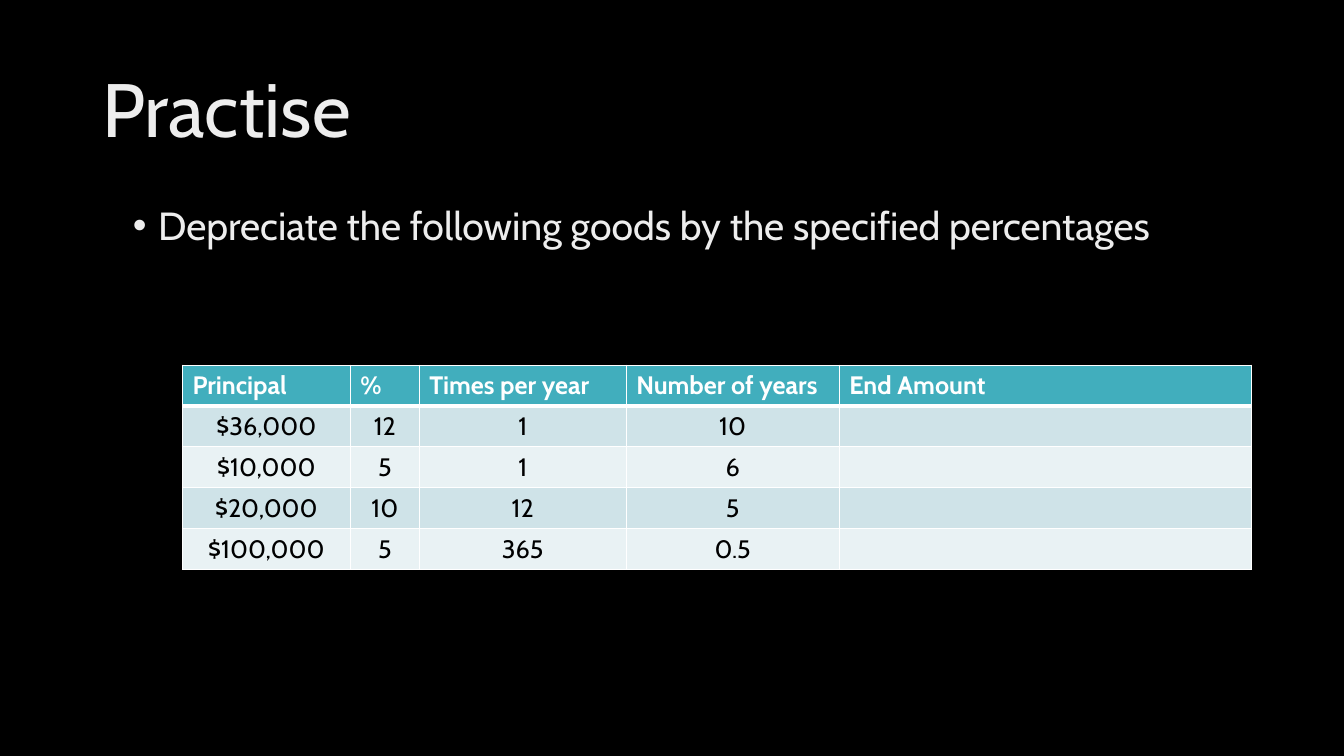
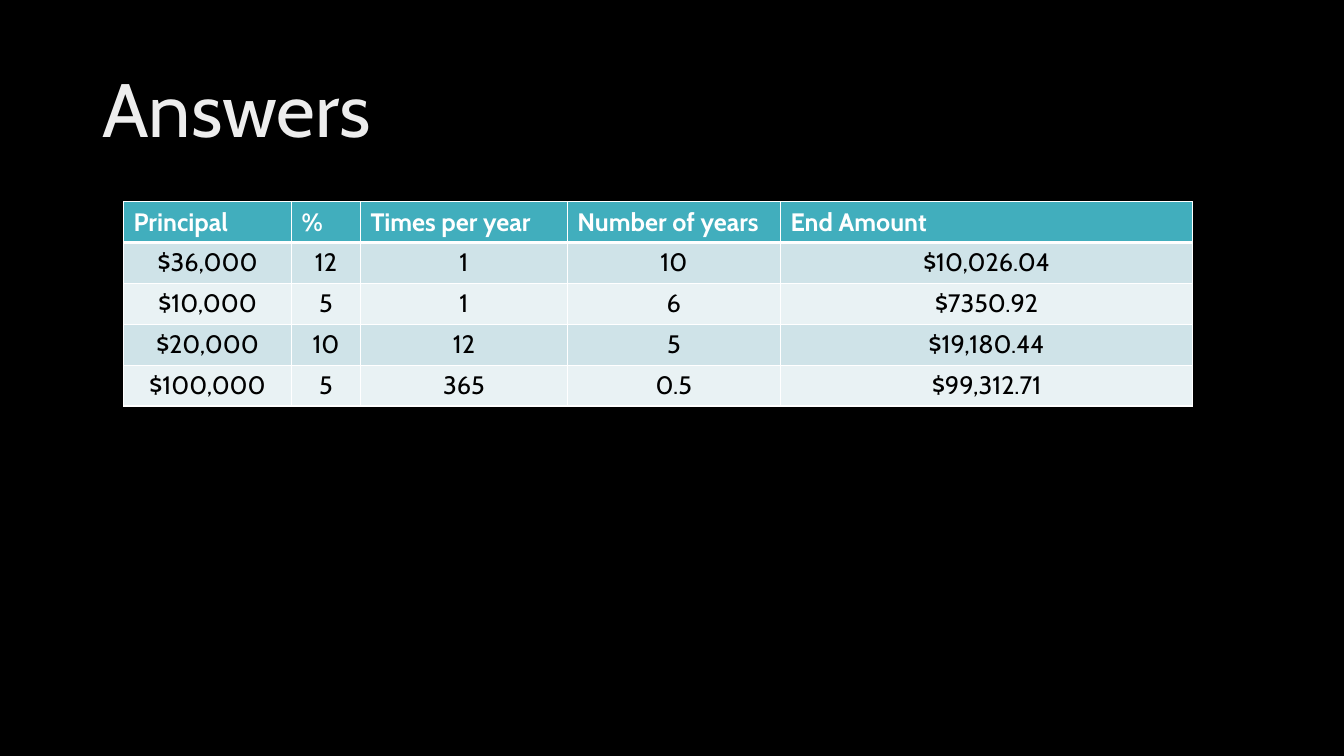
from dataclasses import dataclass

from lxml import etree
from pptx import Presentation
from pptx.dml.color import RGBColor
from pptx.enum.text import MSO_ANCHOR as Anchor, PP_ALIGN as Align
from pptx.oxml.ns import qn
from pptx.util import Pt


@dataclass(frozen=True)
class Theme:
    font: str = "Cabin"
    background: str = "000000"
    light_text: str = "EDEDED"
    header_text: str = "FFFFFF"
    cell_text: str = "000000"
    header_fill: str = "41AEBD"
    band_fills: tuple = ("CFE3E8", "E9F2F4")
    border: str = "FFFFFF"
    title_size: float = 54
    body_size: float = 28
    table_size: float = 18
    thin_border: float = 1
    header_border: float = 3


THEME = Theme()

# Boxes are left, top, width, height in points
SLIDE_SIZE = (960, 540)
TITLE_BOX = (66, 28.8, 828, 104.4)
BODY_BOX = (87.8, 144, 805.7, 342.7)
COLUMN_WIDTHS = (120, 49.2, 147.8, 152.2, 294.6)
ROW_HEIGHT = 29.2
BULLET_INDENT = 18

HEADERS = ("Principal", "%", "Times per year", "Number of years", "End Amount")
GOODS = (
    ("$36,000", "12", "1", "10"),
    ("$10,000", "5", "1", "6"),
    ("$20,000", "10", "12", "5"),
    ("$100,000", "5", "365", "0.5"),
)
END_AMOUNTS = ("$10,026.04", "$7350.92", "$19,180.44", "$99,312.71")


def write_text(frame, text, *, size, color, bold=False, align=Align.LEFT,
               line_spacing=1.0, bullet=False):
    paragraph = frame.paragraphs[0]
    if bullet:
        properties = paragraph._p.get_or_add_pPr()
        properties.set("marL", str(Pt(BULLET_INDENT)))
        properties.set("indent", str(-Pt(BULLET_INDENT)))
        etree.SubElement(properties, qn("a:buFont"), typeface="Arial")
        etree.SubElement(properties, qn("a:buChar"), char="•")
    paragraph.alignment = align
    paragraph.line_spacing = line_spacing
    paragraph.font.size = Pt(size)
    if text:
        run = paragraph.add_run()
        run.text = text
        run.font.name = THEME.font
        run.font.size = Pt(size)
        run.font.bold = bold
        run.font.color.rgb = RGBColor.from_string(color)


def add_text_box(slide, box, text, anchor=Anchor.TOP, **text_format):
    frame = slide.shapes.add_textbox(*map(Pt, box)).text_frame
    frame.word_wrap = True
    frame.vertical_anchor = anchor
    write_text(frame, text, line_spacing=0.9, color=THEME.light_text, **text_format)


def set_borders(cell, top, bottom):
    """Draw the four cell borders; they must precede the fill in the XML."""
    properties = cell._tc.get_or_add_tcPr()
    widths = {"L": THEME.thin_border, "R": THEME.thin_border, "T": top, "B": bottom}
    for position, (side, width) in enumerate(widths.items()):
        line = etree.Element(qn(f"a:ln{side}"), w=str(Pt(width)))
        fill = etree.SubElement(line, qn("a:solidFill"))
        etree.SubElement(fill, qn("a:srgbClr"), val=THEME.border)
        properties.insert(position, line)


def add_goods_table(slide, left, top, end_amounts):
    rows = [HEADERS] + [(*good, amount) for good, amount in zip(GOODS, end_amounts)]
    box = (left, top, sum(COLUMN_WIDTHS), ROW_HEIGHT * len(rows))
    table = slide.shapes.add_table(len(rows), len(HEADERS), *map(Pt, box)).table
    for column, width in zip(table.columns, COLUMN_WIDTHS):
        column.width = Pt(width)

    for row_index, values in enumerate(rows):
        table.rows[row_index].height = Pt(ROW_HEIGHT)
        is_header = row_index == 0
        if is_header:
            fill = THEME.header_fill
            text_format = dict(color=THEME.header_text, bold=True)
        else:
            fill = THEME.band_fills[(row_index - 1) % 2]
            text_format = dict(color=THEME.cell_text, align=Align.CENTER)
        for column_index, value in enumerate(values):
            cell = table.cell(row_index, column_index)
            cell.fill.solid()
            cell.fill.fore_color.rgb = RGBColor.from_string(fill)
            # The heavy line lies between the header and the first data row
            set_borders(
                cell,
                top=THEME.header_border if row_index == 1 else THEME.thin_border,
                bottom=THEME.header_border if is_header else THEME.thin_border,
            )
            write_text(cell.text_frame, value, size=THEME.table_size, **text_format)


def add_titled_slide(presentation, title):
    slide = presentation.slides.add_slide(presentation.slide_layouts[6])
    background = slide.background.fill
    background.solid()
    background.fore_color.rgb = RGBColor.from_string(THEME.background)
    add_text_box(slide, TITLE_BOX, title, anchor=Anchor.MIDDLE, size=THEME.title_size)
    return slide


def build_practise_slide(presentation):
    slide = add_titled_slide(presentation, "Practise")
    add_text_box(slide, BODY_BOX,
                 "Depreciate the following goods by the specified percentages",
                 size=THEME.body_size, bullet=True)
    add_goods_table(slide, 130.3, 260.8, [""] * len(GOODS))


def build_answers_slide(presentation):
    slide = add_titled_slide(presentation, "Answers")
    add_goods_table(slide, 88.3, 144, END_AMOUNTS)


def main():
    presentation = Presentation()
    presentation.slide_width, presentation.slide_height = map(Pt, SLIDE_SIZE)
    build_practise_slide(presentation)
    build_answers_slide(presentation)
    presentation.save("out.pptx")


if __name__ == "__main__":
    main()
